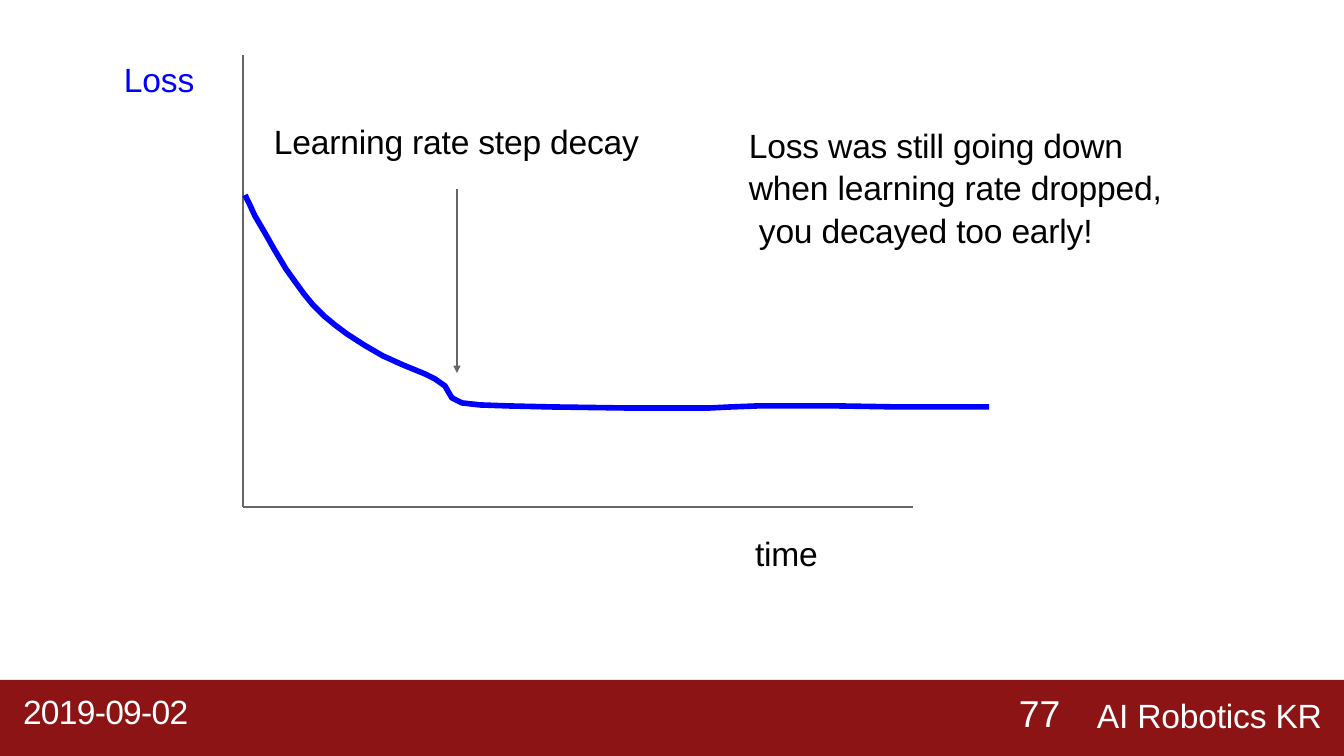
from dataclasses import dataclass

from lxml.etree import SubElement
from pptx import Presentation
from pptx.dml.color import RGBColor
from pptx.enum.shapes import MSO_CONNECTOR as Connector, MSO_SHAPE as Shape
from pptx.oxml.ns import qn
from pptx.util import Pt

EMU_PER_PX = 914400 / 134.4
WIDTH, HEIGHT = 1344, 756
BLACK, WHITE, BLUE, GREY, RED = "000000", "FFFFFF", "0000FF", "666666", "8C1414"


@dataclass(frozen=True)
class Label:
    lines: tuple[str, ...]
    left: int
    top: int
    width: int
    height: int
    color: str = BLACK
    size: int = 18
    spacing: float | Pt | None = None
    tracking: int = -10  # hundredths of a point
    last_indent: int = 0


@dataclass(frozen=True)
class Segment:
    start: tuple[int, int]
    end: tuple[int, int]
    weight: float = 1.5
    arrow: bool = False


def px(value: int) -> int:
    return round(value * EMU_PER_PX)


def rgb(value: str) -> RGBColor:
    return RGBColor.from_string(value)


def draw_label(page, label: Label) -> None:
    box = page.shapes.add_textbox(
        *map(px, (label.left, label.top, label.width, label.height)))
    frame = box.text_frame
    frame_format = dict(word_wrap=True, margin_left=0, margin_top=0,
                        margin_right=0, margin_bottom=0)
    for name, value in frame_format.items():
        setattr(frame, name, value)
    for index, line in enumerate(label.lines):
        para = frame.add_paragraph() if index else frame.paragraphs[0]
        if label.spacing:
            para.line_spacing = label.spacing
        span = para.add_run()
        span.text = line
        font_format = dict(name="Arial", size=Pt(label.size))
        for name, value in font_format.items():
            setattr(span.font, name, value)
        span.font.color.rgb = rgb(label.color)
        span.font._element.set("spc", str(label.tracking))
    if label.last_indent:
        para._p.get_or_add_pPr().set("marL", str(px(label.last_indent)))


def draw_segment(page, segment: Segment) -> None:
    line = page.shapes.add_connector(
        Connector.STRAIGHT, *map(px, segment.start + segment.end))
    line.line.color.rgb = rgb(GREY)
    line.line.width = Pt(segment.weight)
    if segment.arrow:
        SubElement(line.line._get_or_add_ln(), qn("a:tailEnd"),
                   type="triangle", w="sm", len="sm")
    SubElement(line._element.spPr, qn("a:effectLst"))


def draw_curve(page, points: list[tuple[int, int]]) -> None:
    builder = page.shapes.build_freeform(*points[0], scale=EMU_PER_PX)
    builder.add_line_segments(points[1:], close=False)
    curve = builder.convert_to_shape()
    curve.shadow.inherit = False
    curve.fill.background()
    curve.line.color.rgb = rgb(BLUE)
    curve.line.width = Pt(3)


def draw_footer_band(page) -> None:
    top = 680
    band = page.shapes.add_shape(
        Shape.RECTANGLE, 0, px(top), px(WIDTH), px(HEIGHT - top))
    band.shadow.inherit = False
    band.fill.solid()
    band.fill.fore_color.rgb = rgb(RED)
    band.line.fill.background()


ORIGIN = (243, 507)
SEGMENTS = [
    Segment(ORIGIN, (243, 55)),
    Segment(ORIGIN, (913, 507)),
    Segment((457, 189), (457, 373), 0.75, arrow=True),
]

LOSS_CURVE = [
    # Steep fall before the decay
    (245, 195), (249, 203), (255, 216), (265, 233), (274, 249), (286, 269),
    (296, 283), (304, 294), (313, 305), (324, 316), (335, 325), (347, 334),
    (364, 345), (383, 356), (403, 365), (425, 374), (435, 379), (445, 386),
    # Drop at the decay, then a plateau
    (449, 393), (452, 398), (462, 403), (480, 405), (509, 406), (552, 407),
    (624, 408), (710, 408), (731, 407), (757, 406), (839, 406), (899, 407),
    (989, 407),
]

LABELS = [
    Label(("Loss",), 124, 59, 90, 44, BLUE),
    Label(("time",), 755, 533, 90, 44),
    Label(("Learning rate step decay",), 274, 121, 400, 44),
    Label(("Loss was still going down", "when learning rate dropped,",
           "you decayed too early!"),
          749, 123, 450, 125, spacing=1.05, last_indent=10),
    Label(("2019-09-02",), 23, 692, 660, 42, WHITE,
          spacing=Pt(20.9), tracking=-40),
    Label(("AI Robotics KR",), 1097, 692, 245, 42, WHITE, spacing=Pt(23.1)),
    Label(("77",), 1019, 692, 60, 46, WHITE, 20, Pt(23.1), 0),
]


def main() -> None:
    deck = Presentation()
    deck.slide_width, deck.slide_height = px(WIDTH), px(HEIGHT)
    page = deck.slides.add_slide(deck.slide_layouts[6])

    # Footer, then the plot, then all wording
    draw_footer_band(page)
    for segment in SEGMENTS:
        draw_segment(page, segment)
    draw_curve(page, LOSS_CURVE)
    for label in LABELS:
        draw_label(page, label)

    deck.save("out.pptx")


if __name__ == "__main__":
    main()
